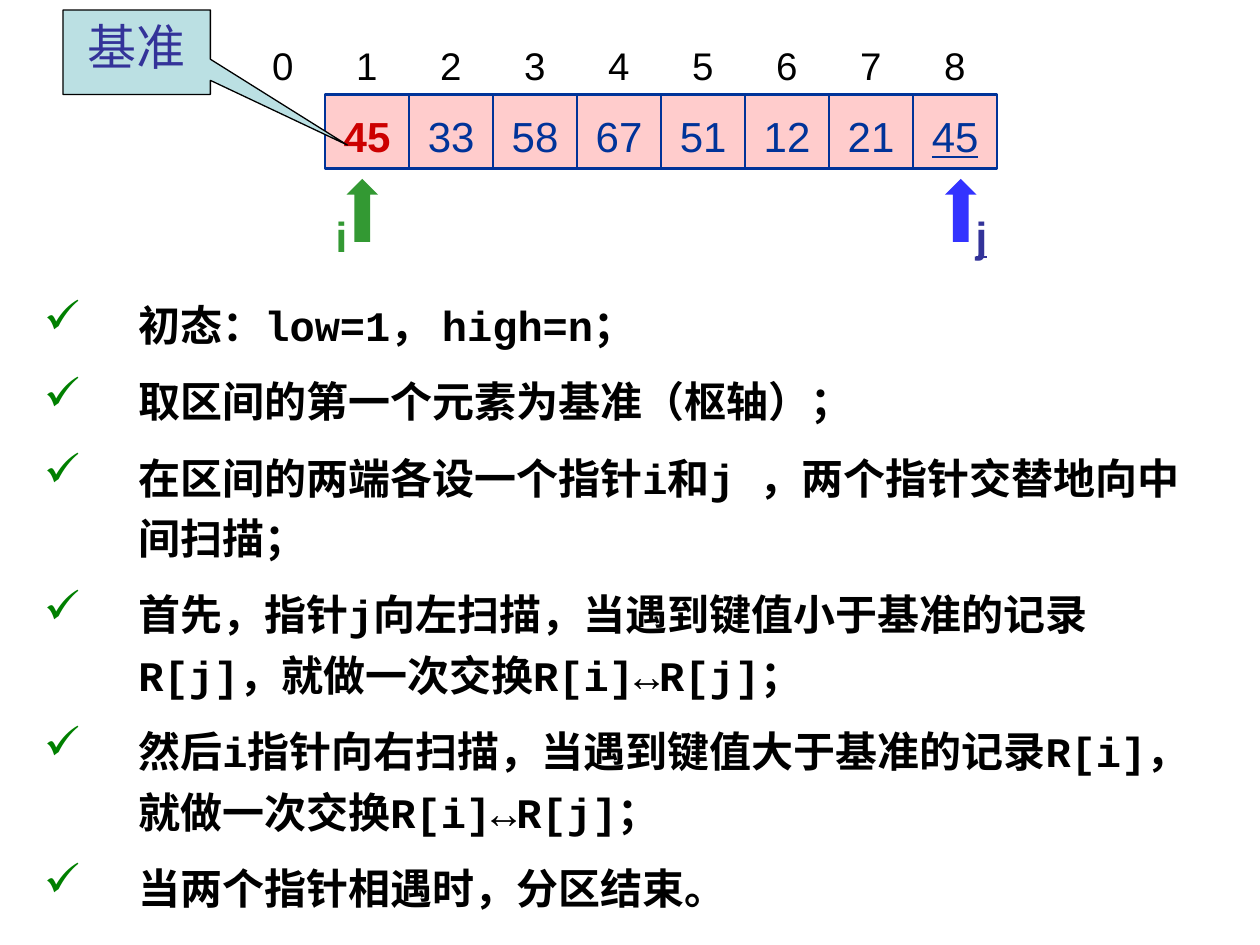
from dataclasses import dataclass

from lxml import etree
from pptx import Presentation
from pptx import util as u
from pptx.dml.color import RGBColor
from pptx.enum import shapes, text
from pptx.oxml import ns

Inches = u.Inches


@dataclass(frozen=True)
class Theme:
    font: str = "Arial"
    body_font: str = "Courier New"
    index_size: int = 22
    size: int = 24
    callout_size: int = 28
    black: str = "000000"
    cell: str = "FFCCCC"
    navy: str = "003399"
    red: str = "CC0000"
    callout: str = "BBE0E3"
    indigo: str = "333399"
    blue: str = "3333FF"
    green: str = "339933"
    check: str = "008000"


theme = Theme()
presentation = Presentation()
presentation.slide_width, presentation.slide_height = Inches(10), Inches(7.5)
slide = presentation.slides.add_slide(presentation.slide_layouts[6])


def add_shape(kind, left, top, width, height, fill, line=None, line_width=0):
    shape = slide.shapes.add_shape(
        kind, Inches(left), Inches(top), Inches(width), Inches(height))
    shape.shadow.inherit = False
    shape.fill.solid()
    shape.fill.fore_color.rgb = RGBColor.from_string(fill)
    if line:
        shape.line.color.rgb = RGBColor.from_string(line)
        shape.line.width = u.Pt(line_width)
    else:
        shape.line.fill.background()
    return shape


def write(shape, lines, size, color, font=theme.font, inset=True, bold=False,
          underline=None, align=text.PP_ALIGN.CENTER):
    """Fill a shape with one paragraph per line and return the paragraphs."""
    frame = shape.text_frame
    frame.word_wrap = True
    frame.vertical_anchor = text.MSO_ANCHOR.TOP
    frame.margin_left = frame.margin_right = Inches(0.1 if inset else 0)
    frame.margin_top = frame.margin_bottom = Inches(0.05 if inset else 0)
    for number, line in enumerate(lines):
        paragraph = frame.add_paragraph() if number else frame.paragraphs[0]
        paragraph.alignment = align
        run = paragraph.add_run()
        run.text = line
        run.font.name, run.font.size = font, u.Pt(size)
        run.font.bold, run.font.underline = bold, underline
        run.font.color.rgb = RGBColor.from_string(color)
    return frame.paragraphs


# Array: indices 0 to 8 above, cells 1 to 8 below
values = [45, 33, 58, 67, 51, 12, 21, 45]
pitch = 2 / 3
array_left = 2.58

for index in range(len(values) + 1):
    label = slide.shapes.add_textbox(
        Inches(2.08 + index * pitch), Inches(0.33), Inches(0.33), Inches(0.37))
    write(label, [str(index)], theme.index_size, theme.black, inset=False)

for position, value in enumerate(values):
    left = array_left + position * pitch
    add_shape(shapes.MSO_SHAPE.RECTANGLE, left, 0.75, pitch, 0.59,
              theme.cell, theme.navy, 1.5)
    is_pivot = position == 0
    box = slide.shapes.add_textbox(
        Inches(left), Inches(0.83), Inches(pitch), Inches(0.5))
    write(box, [str(value)], theme.size,
          theme.red if is_pivot else theme.navy, bold=is_pivot,
          underline=True if position == len(values) - 1 else None)

# Pivot callout
callout = add_shape(shapes.MSO_SHAPE.RECTANGULAR_CALLOUT, 0.5, 0.08, 1.17, 0.67,
                    theme.callout, theme.black, 0.75)
callout.adjustments[0], callout.adjustments[1] = 1.43, 1.1
write(callout, ["基准"], theme.callout_size, theme.indigo)

# Steps of the partition
steps = [
    "初态：low=1， high=n；",
    "取区间的第一个元素为基准（枢轴）；",
    "在区间的两端各设一个指针i和j ，两个指针交替地向中间扫描；",
    "首先，指针j向左扫描，当遇到键值小于基准的记录R[j]，就做一次交换R[i]↔R[j]；",
    "然后i指针向右扫描，当遇到键值大于基准的记录R[i]，就做一次交换R[i]↔R[j]；",
    "当两个指针相遇时，分区结束。",
]
body = slide.shapes.add_textbox(
    Inches(0.25), Inches(2.33), Inches(9.33), Inches(5.17))
paragraphs = write(body, steps, theme.size, theme.black, theme.body_font,
                   bold=True, align=text.PP_ALIGN.LEFT)
for number, paragraph in enumerate(paragraphs):
    paragraph.space_before = u.Pt(9 if number else 6)
    if number:
        paragraph.line_spacing = 1.2
    properties = paragraph._p.get_or_add_pPr()
    properties.set("marL", str(Inches(0.75)))
    properties.set("indent", str(-Inches(0.75)))
    bullet_color = etree.SubElement(properties, ns.qn("a:buClr"))
    etree.SubElement(bullet_color, ns.qn("a:srgbClr"), val=theme.check)
    etree.SubElement(properties, ns.qn("a:buSzPct"), val="110000")
    etree.SubElement(properties, ns.qn("a:buChar"), char="✓")

# Pointers i and j
pointers = [
    ("j", 7.5, 7.58, theme.blue, theme.indigo, True),
    ("i", 2.75, 2.5, theme.green, theme.green, None),
]
for name, arrow_left, label_left, fill, color, underline in pointers:
    add_shape(shapes.MSO_SHAPE.UP_ARROW, arrow_left, 1.42, 0.25, 0.5, fill)
    label = slide.shapes.add_textbox(
        Inches(label_left), Inches(1.67), Inches(0.42), Inches(0.4))
    write(label, [name], theme.size, color, inset=False, bold=True,
          underline=underline)

presentation.save("out.pptx")
